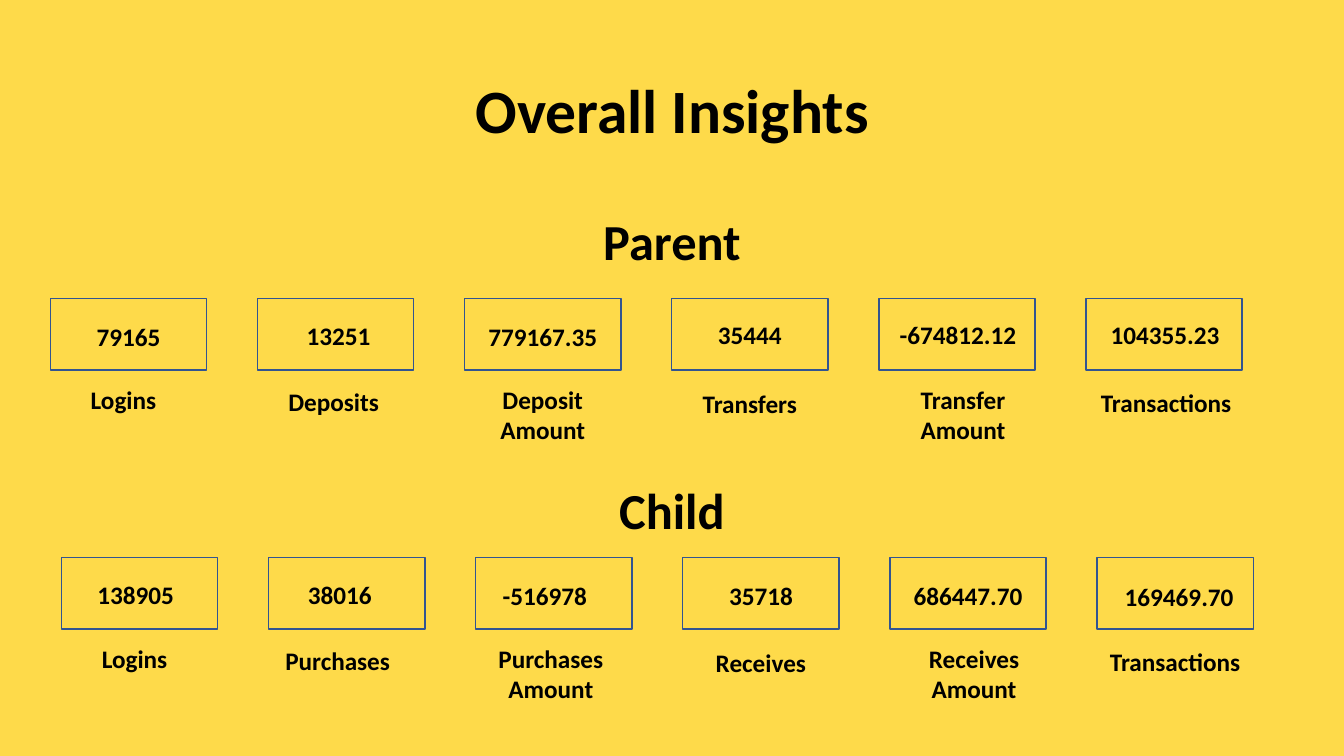
from dataclasses import dataclass
from pptx import Presentation
from pptx.dml.color import RGBColor as Color
from pptx.enum.shapes import MSO_SHAPE as Shape
from pptx.enum.text import MSO_ANCHOR as Anchor, PP_ALIGN as Align
from pptx.util import Inches, Pt


@dataclass(frozen=True)
class Theme:
    """Colours, font and type sizes."""
    back: Color = Color.from_string("FEDA4A")
    ink: Color = Color.from_string("000000")
    edge: Color = Color.from_string("325491")
    font: str = "Calibri"
    title: int = 44
    head: int = 36
    body: int = 18


@dataclass(frozen=True)
class Metric:
    """A figure, its label, and their shifts from the card centre."""
    value: str
    label: str
    side: float = 0
    rise: float = 0
    shift: float = 0


THEME = Theme()
CARD = (1.55, 0.71)
DROPS = (0, 0.02, 0, 0.04, 0, 0.03)
PARENT = (
    Metric("79165", "Logins", 0, 0.18, -0.05),
    Metric("13251", "Deposits", 0.03, 0.17, -0.02),
    Metric("779167.35", "Deposit Amount", 0, 0.18),
    Metric("35444", "Transfers", 0, 0.16),
    Metric("-674812.12", "Transfer Amount", 0.01, 0.16, 0.06),
    Metric("104355.23", "Transactions", 0.01, 0.16, 0.02),
)
CHILD = (
    Metric("138905", "Logins", -0.04, 0.17, -0.05),
    Metric("38016", "Purchases", -0.07, 0.17, -0.09),
    Metric("-516978", "Purchases Amount", -0.09, 0.18, -0.03),
    Metric("35718", "Receives", 0, 0.18),
    Metric("686447.70", "Receives Amount", 0, 0.18, 0.06),
    Metric("169469.70", "Transactions", 0.04, 0.19),
)


def style(item, **form):
    """Set each named format value on an item."""
    for name, value in form.items():
        setattr(item, name, value)


def write(slide, box, text, size, wrap=True, anchor=Anchor.TOP, **para):
    """Add one centred bold paragraph in the given box."""
    frame = slide.shapes.add_textbox(*map(Inches, box)).text_frame
    style(frame, word_wrap=wrap, vertical_anchor=anchor)
    line = frame.paragraphs[0]
    style(line, alignment=Align.CENTER, **para)
    run = line.add_run()
    run.text = text
    style(run.font, name=THEME.font, size=Pt(size), bold=True)
    run.font.color.rgb = THEME.ink


def card(slide, box, metric, drop):
    """Draw one outlined card with its figure and label."""
    left, top, width, height = box
    mid = left + width / 2
    rect = slide.shapes.add_shape(Shape.RECTANGLE, *map(Inches, box))
    rect.shadow.inherit = False
    rect.fill.background()
    rect.line.color.rgb = THEME.edge
    rect.line.width = Pt(1)

    wide = 0.2 + sum(0.13 if c.isdigit() else 0.07 for c in metric.value)
    spot = (mid + metric.side - wide / 2, top + metric.rise, wide, 0.4)
    write(slide, spot, metric.value, THEME.body, wrap=False)
    tall = 0.71 if " " in metric.label else 0.4
    spot = (left + metric.shift, top + height + 0.09 + drop, width, tall)
    write(slide, spot, metric.label, THEME.body)


def row(slide, box, metrics):
    """Spread the cards evenly across the given box."""
    left, top, width, height = box
    step = (width - CARD[0]) / (len(metrics) - 1)
    for i, (metric, drop) in enumerate(zip(metrics, DROPS)):
        card(slide, (left + i * step, top, CARD[0], height), metric, drop)


def group(slide, box, name, metrics, inset, gap):
    """Place a heading and its row of cards in the given box."""
    left, top = box[:2]
    write(slide, box, name, THEME.head, line_spacing=0.9,
          space_before=Pt(10))
    row(slide, (left + inset, top + gap, 11.82, CARD[1]), metrics)


def main():
    """Build and save the slide."""
    deck = Presentation()
    style(deck, slide_width=Inches(13.33), slide_height=Inches(7.5))
    slide = deck.slides.add_slide(deck.slide_layouts[6])
    fill = slide.background.fill
    fill.solid()
    fill.fore_color.rgb = THEME.back
    write(slide, (0.92, 0.4, 11.5, 1.45), "Overall Insights", THEME.title,
          anchor=Anchor.MIDDLE, line_spacing=0.9)
    group(slide, (0, 2.1, 13.33, 2.46), "Parent", PARENT, 0.5, 0.86)
    group(slide, (0, 4.77, 13.33, 2.73), "Child", CHILD, 0.61, 0.76)
    deck.save("out.pptx")


if __name__ == "__main__":
    main()
